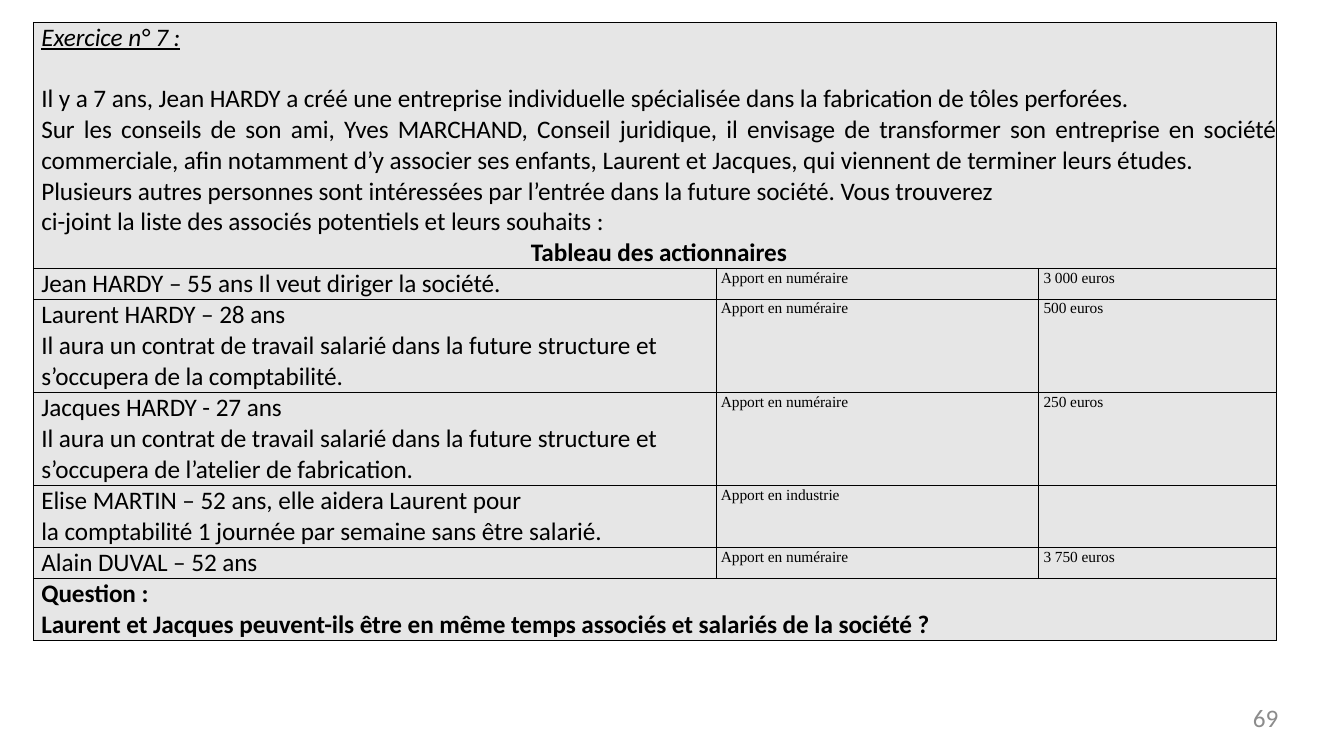
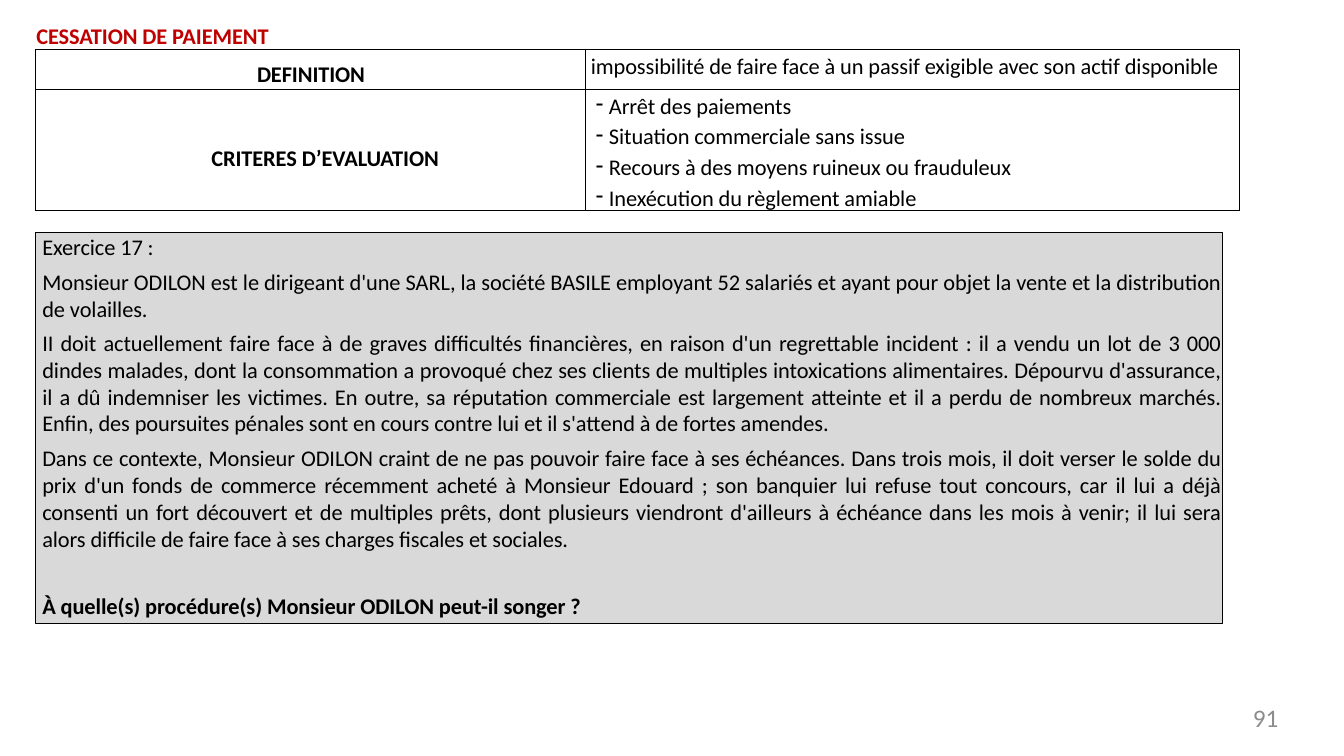
from dataclasses import dataclass, replace

import lxml.etree
import pptx
import pptx.dml.color
import pptx.enum.shapes
import pptx.enum.text
import pptx.oxml.ns
import pptx.slide
import pptx.table
import pptx.text.text
import pptx.util

Inches = pptx.util.Inches
Pt = pptx.util.Pt
RGBColor = pptx.dml.color.RGBColor
Align = pptx.enum.text.PP_ALIGN
qn = pptx.oxml.ns.qn

BLACK = RGBColor(0x00, 0x00, 0x00)
HEADING_RED = RGBColor(0xC0, 0x00, 0x00)
PAGE_GREY = RGBColor(0x8C, 0x8C, 0x8C)
EXERCISE_GREY = RGBColor(0xE6, 0xE6, 0xE6)
CASE_GREY = RGBColor(0xD9, 0xD9, 0xD9)
BORDER_PT = 0.5
TRACKING = "-5"  # hundredths of a point


@dataclass(frozen=True)
class Para:
    """One paragraph; lengths in inches, spacing in points."""
    text: str
    size: float = 18
    font: str = "Calibri"
    color: RGBColor = BLACK
    bold: bool = False
    italic: bool = False
    underline: bool = False
    align: Align = Align.LEFT
    indent: float = 0
    before: float = 0
    after: float = 0
    exact: float = 0
    bullet: str = ""


@dataclass(frozen=True)
class Cell:
    """The paragraphs of a table cell and the gap above them."""
    paras: tuple[Para, ...]
    top: float = 0


@dataclass(frozen=True)
class Box:
    """A rectangle on the slide, in inches."""
    left: float
    top: float
    width: float
    height: float

    def emu(self) -> tuple[int, ...]:
        """Return the four lengths for python-pptx."""
        return tuple(Inches(n) for n in (self.left, self.top, self.width, self.height))


@dataclass(frozen=True)
class Shareholder:
    """A future partner with the contribution he or she makes."""
    profile: tuple[str, ...]
    contribution: str
    amount: str


def write(frame: pptx.text.text.TextFrame, paras: tuple[Para, ...]) -> None:
    """Fill a text frame with styled paragraphs."""
    for index, para in enumerate(paras):
        line = frame.paragraphs[0] if index == 0 else frame.add_paragraph()
        line.alignment = para.align
        line.space_before, line.space_after = Pt(para.before), Pt(para.after)
        if para.exact:
            line.line_spacing = Pt(para.exact)
        properties = line._p.get_or_add_pPr()
        properties.set("marL", str(Inches(para.indent)))
        properties.set("indent", str(Inches(-0.13 if para.bullet else 0)))
        if para.bullet:
            lxml.etree.SubElement(properties, qn("a:buChar")).set("char", para.bullet)
        if not para.text:
            continue
        run = line.add_run()
        run.text = para.text
        run.font.name, run.font.size = para.font, Pt(para.size)
        run.font.bold, run.font.italic = para.bold, para.italic
        run.font.underline = para.underline
        run.font.color.rgb = para.color
        run._r.get_or_add_rPr().set("spc", TRACKING)


def prepare(frame: pptx.text.text.TextFrame) -> None:
    """Give a shape's text frame no margins, wrapping and a top anchor."""
    frame.word_wrap = True
    frame.auto_size = pptx.enum.text.MSO_AUTO_SIZE.SHAPE_TO_FIT_TEXT
    frame.vertical_anchor = pptx.enum.text.MSO_ANCHOR.TOP
    frame.margin_left = frame.margin_top = 0
    frame.margin_right = frame.margin_bottom = 0


def add_text(slide: pptx.slide.Slide, box: Box, para: Para) -> None:
    """Add a one-paragraph text box."""
    frame = slide.shapes.add_textbox(*box.emu()).text_frame
    prepare(frame)
    write(frame, (para,))


def add_page_number(slide: pptx.slide.Slide, number: int) -> None:
    """Add the page number at the bottom right."""
    add_text(slide, Box(9.61, 6.97, 3.07, 0.3),
             Para(str(number), color=PAGE_GREY, align=Align.RIGHT))


def add_case(slide: pptx.slide.Slide, box: Box, paras: tuple[Para, ...]) -> None:
    """Add a framed grey panel holding a case study."""
    panel = slide.shapes.add_shape(
        pptx.enum.shapes.MSO_SHAPE.RECTANGLE, *box.emu())
    panel.shadow.inherit = False
    panel.fill.solid()
    panel.fill.fore_color.rgb = CASE_GREY
    panel.line.color.rgb = BLACK
    panel.line.width = Pt(BORDER_PT)
    prepare(panel.text_frame)
    write(panel.text_frame, paras)


def style_cell(cell: pptx.table._Cell, fill: RGBColor | None) -> None:
    """Set the fill, the zero margins and thin black borders of a cell."""
    cell.margin_left = cell.margin_right = cell.margin_top = cell.margin_bottom = 0
    if fill is None:
        cell.fill.background()
    else:
        cell.fill.solid()
        cell.fill.fore_color.rgb = fill
    properties = cell._tc.get_or_add_tcPr()
    for position, side in enumerate("LRTB"):
        border = lxml.etree.Element(qn(f"a:ln{side}"), w=str(Pt(BORDER_PT)))
        paint = lxml.etree.SubElement(border, qn("a:solidFill"))
        lxml.etree.SubElement(paint, qn("a:srgbClr")).set("val", str(BLACK))
        properties.insert(position, border)


def add_grid(slide: pptx.slide.Slide, box: Box, widths: list[float],
             heights: list[float], rows: list[tuple[Cell, ...]],
             fill: RGBColor | None = None) -> None:
    """Add a bordered table; a row of one cell spans every column."""
    holder = slide.shapes.add_table(len(rows), len(widths), *box.emu())
    grid = holder.table
    grid.first_row = grid.horz_banding = False
    for column, width in zip(grid.columns, widths):
        column.width = Inches(width)
    for row, height in zip(grid.rows, heights):
        row.height = Inches(height)
    holder.height = Inches(box.height)
    for index, contents in enumerate(rows):
        for cell in grid.rows[index].cells:
            style_cell(cell, fill)
        if len(contents) == 1:
            grid.cell(index, 0).merge(grid.cell(index, len(widths) - 1))
        for column, content in enumerate(contents):
            cell = grid.cell(index, column)
            cell.margin_top = Inches(content.top)
            write(cell.text_frame, content.paras)


def shareholder_row(person: Shareholder) -> tuple[Cell, ...]:
    """Turn a shareholder into the three cells of a row."""
    profile = tuple(Para(text, indent=0.08, before=0.6 if index else 0)
                    for index, text in enumerate(person.profile))
    details = (Cell((Para(text, 11, "Times New Roman", indent=0.05, exact=13),))
               for text in (person.contribution, person.amount))
    return (Cell(profile), *details)


def build_exercise(slide: pptx.slide.Slide) -> None:
    """Exercise 7: the shareholders and their contributions."""
    body = Para("", align=Align.JUSTIFY, indent=0.08)
    story = (
        "Il y a 7 ans, Jean HARDY a créé une entreprise individuelle spécialisée "
        "dans la fabrication de tôles perforées.",
        "Sur les conseils de son ami, Yves MARCHAND, Conseil juridique, il envisage "
        "de transformer son entreprise en société commerciale, afin notamment d’y "
        "associer ses enfants, Laurent et Jacques, qui viennent de terminer leurs "
        "études.",
        "Plusieurs autres personnes sont intéressées par l’entrée dans la future "
        "société. Vous trouverez",
        "ci-joint la liste des associés potentiels et leurs souhaits :",
    )
    introduction = (
        replace(body, text="Exercice n° 7 :", italic=True, underline=True, after=22),
        *(replace(body, text=text) for text in story),
        replace(body, text="Tableau des actionnaires", bold=True, align=Align.CENTER),
    )
    cash = "Apport en numéraire"
    contract = "Il aura un contrat de travail salarié dans la future structure et s’occupera de "
    shareholders = [
        Shareholder(("Jean HARDY – 55 ans Il veut diriger la société.",),
                    cash, "3 000 euros"),
        Shareholder(("Laurent HARDY – 28 ans", contract + "la comptabilité."),
                    cash, "500 euros"),
        Shareholder(("Jacques HARDY - 27 ans", contract + "l’atelier de fabrication."),
                    cash, "250 euros"),
        Shareholder(("Elise MARTIN – 52 ans, elle aidera Laurent pour",
                     "la comptabilité 1 journée par semaine sans être salarié."),
                    "Apport en industrie", ""),
        Shareholder(("Alain DUVAL – 52 ans",), cash, "3 750 euros"),
    ]
    question = tuple(Para(text, bold=True, indent=0.08, before=0.3) for text in (
        "Question :",
        "Laurent et Jacques peuvent-ils être en même temps associés et salariés "
        "de la société ?",
    ))
    rows = [(Cell(introduction),), *map(shareholder_row, shareholders), (Cell(question),)]
    add_grid(slide, Box(0.33, 0.22, 12.33, 6.05), [6.77, 3.2, 2.36],
             [1.59, 0.18, 0.53, 0.53, 0.53, 0.18, 0.21], rows, EXERCISE_GREY)


def build_insolvency(slide: pptx.slide.Slide) -> None:
    """Insolvency: its definition, its criteria and exercise 17."""
    body = Para("", 16, align=Align.JUSTIFY, indent=0.07)
    label = Para("", 16, bold=True, align=Align.CENTER)
    case = (
        replace(body, text="Exercice 17 :"),
        replace(body, before=5.9, text=(
            "Monsieur ODILON est le dirigeant d'une SARL, la société BASILE employant "
            "52 salariés et ayant pour objet la vente et la distribution de volailles.")),
        replace(body, before=5.2, text=(
            "II doit actuellement faire face à de graves difficultés financières, en "
            "raison d'un regrettable incident : il a vendu un lot de 3 000 dindes "
            "malades, dont la consommation a provoqué chez ses clients de multiples "
            "intoxications alimentaires. Dépourvu d'assurance, il a dû indemniser les "
            "victimes. En outre, sa réputation commerciale est largement atteinte et "
            "il a perdu de nombreux marchés. Enfin, des poursuites pénales sont en "
            "cours contre lui et il s'attend à de fortes amendes.")),
        replace(body, before=5.8, text=(
            "Dans ce contexte, Monsieur ODILON craint de ne pas pouvoir faire face à "
            "ses échéances. Dans trois mois, il doit verser le solde du prix d'un "
            "fonds de commerce récemment acheté à Monsieur Edouard ; son banquier lui "
            "refuse tout concours, car il lui a déjà consenti un fort découvert et de "
            "multiples prêts, dont plusieurs viendront d'ailleurs à échéance dans les "
            "mois à venir; il lui sera alors difficile de faire face à ses charges "
            "fiscales et sociales.")),
        replace(body, before=28.5, bold=True,
                text="À quelle(s) procédure(s) Monsieur ODILON peut-il songer ?"),
    )
    criteria = tuple(Para(text, 16, indent=0.23, before=2.4, bullet="-") for text in (
        "Arrêt des paiements",
        "Situation commerciale sans issue",
        "Recours à des moyens ruineux ou frauduleux",
        "Inexécution du règlement amiable",
    ))
    definition = Para("impossibilité de faire face à un passif exigible avec son "
                      "actif disponible", 16, indent=0.05)
    rows = [
        (Cell((replace(label, text="DEFINITION", indent=0.01),), 0.12),
         Cell((definition,), 0.04)),
        (Cell((replace(label, text="CRITERES D’EVALUATION", indent=0.29),), 0.55),
         Cell(criteria, 0.03)),
    ]
    add_case(slide, Box(0.35, 2.31, 11.77, 3.87), case)
    add_text(slide, Box(0.35, 0.22, 3.25, 0.28),
             Para("CESSATION DE PAIEMENT", 16, color=HEADING_RED, bold=True, indent=0.01))
    add_grid(slide, Box(0.35, 0.49, 11.94, 1.59), [5.46, 6.48], [0.4, 0.83], rows)


deck = pptx.Presentation()
deck.slide_width, deck.slide_height = Inches(13.33), Inches(7.5)
for build, page in ((build_exercise, 69), (build_insolvency, 91)):
    page_slide = deck.slides.add_slide(deck.slide_layouts[6])
    build(page_slide)
    add_page_number(page_slide, page)
deck.save("out.pptx")
